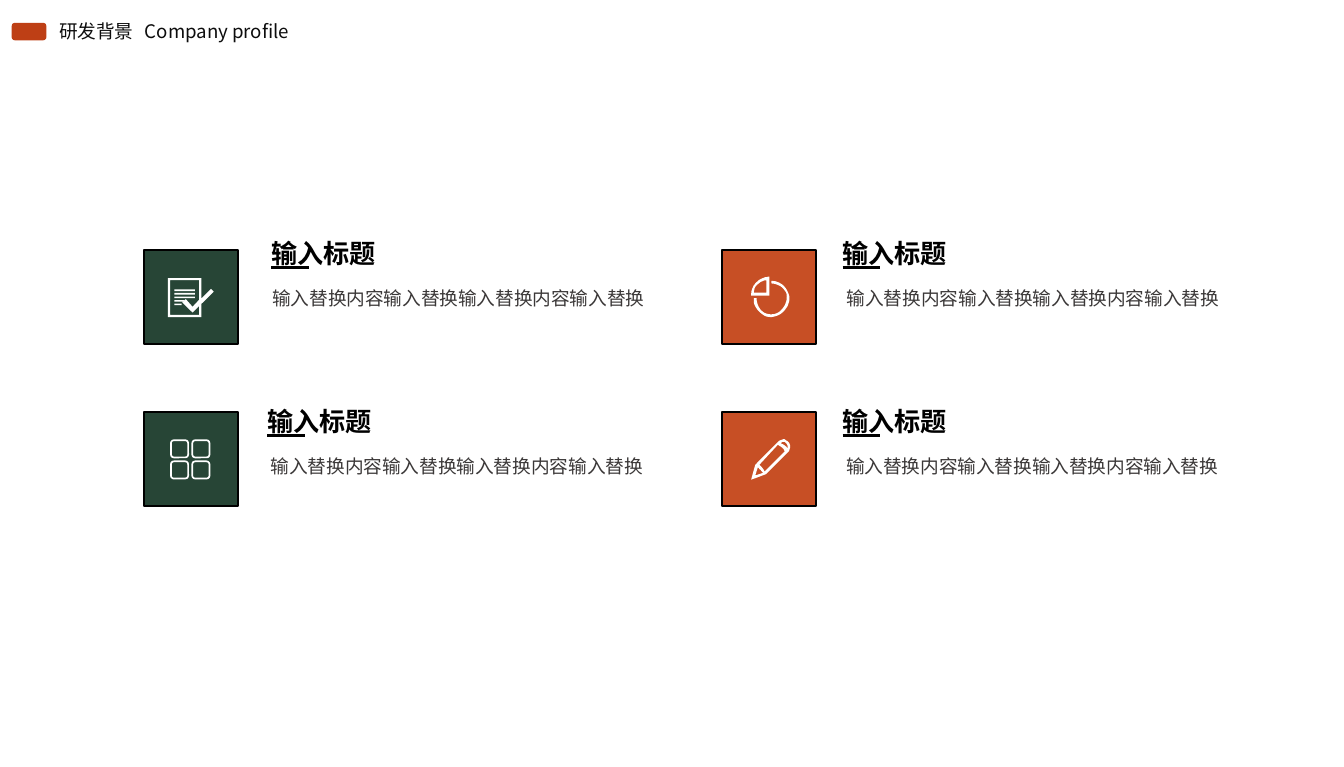
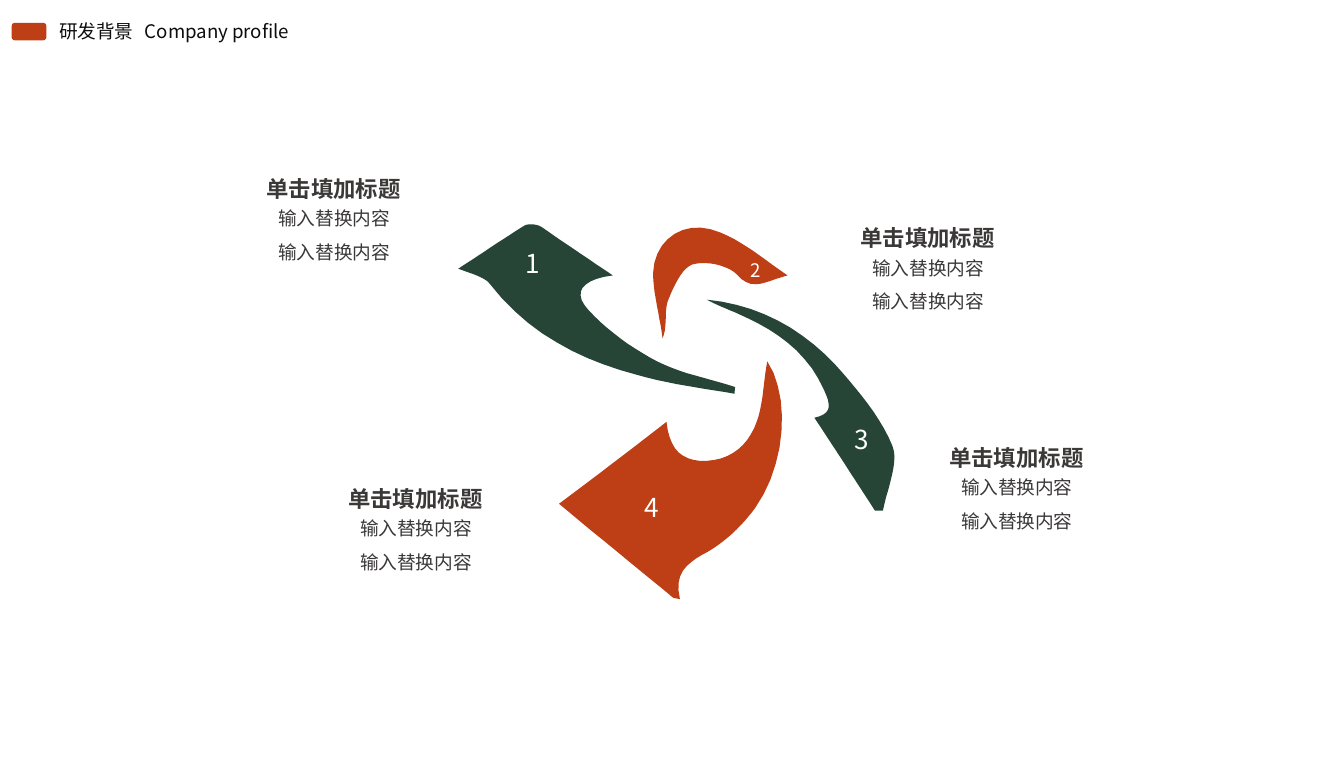
from lxml.etree import SubElement
from pptx import Presentation
from pptx.dml.color import RGBColor
from pptx.enum.shapes import MSO_CONNECTOR, MSO_SHAPE
from pptx.enum.text import MSO_ANCHOR, MSO_AUTO_SIZE, PP_ALIGN
from pptx.oxml.ns import qn
from pptx.util import Pt

GREEN, RUST, ORANGE = "274536", "BE3F15", "C74F25"
BLACK, WHITE, INK, GREY = "000000", "FFFFFF", "0D0D0D", "3B3838"
SANS, LATIN = "Noto Sans CJK SC", "Calibri"
TILE = 50.4

PIE_ICON = """
M 256 144 L 256 245 158 245 C 158 216 166 194 187 173 201 158 230 144 256 144
M 240 163 C 223 164 209 170 194 184 180 194 173 209 173 230 L 240 230
M 266 166 C 302 166 338 187 353 223 374 259 360 302 331 331
302 360 259 367 230 353 194 331 165 295 173 259 L 187 259
C 187 288 202 324 230 338 266 353 302 346 324 317 346 295 353 259 346 230
331 202 302 180 266 180
"""
PENCIL_ICON = """
M 331 144 C 338 144 338 144 346 151 353 151 367 166 367 180 367 187 367 194 360 209
L 238 331 180 353 158 360 166 331 180 281 302 158 310 151 C 317 151 324 144 331 144
M 194 295 L 180 338 223 324 216 317 C 209 310 202 302 194 295
M 302 173 L 202 281 C 216 295 223 302 230 317 L 338 209 C 331 194 324 187 310 180
M 331 158 C 324 158 324 158 317 166 331 173 346 180 353 194
353 187 353 187 353 180 353 173 346 166 338 158
"""
CHECKLIST_ICON = """
M 130 151 L 310 151 310 260 361 209 375 224 310 289 310 360 130 360
M 142 162 L 297 162 297 268 262 305 226 264 207 282 262 336 297 302 297 349 142 349
"""
CHECKLIST_ICON += " ".join(
    f"M 165 {top} L {right} {top} {right} {top + 9} 165 {top + 9}"
    for top, right in zip(range(212, 300, 19), (274, 274, 274, 217, 203)))

BLADES = [
    (GREEN, """
M 3283 1476 C 3110 1498 3067 1570 3154 1663 3254 1771 3384 1865 3521 1937
3650 2002 3802 2030 3938 2074 L 3935 2110
C 3766 2081 3586 2059 3413 2009 3110 1930 2830 1786 2628 1526
2599 1483 2527 1469 2455 1440 2578 1361 2693 1282 2808 1210
2830 1195 2880 1202 2902 1217 3017 1296 3132 1375 3283 1476
"""),
    (RUST, """
M 4219 1476 C 4104 1505 4032 1570 3946 1469 3895 1418 3773 1397 3708 1418
3650 1440 3607 1541 3578 1613 3557 1670 3578 1742 3550 1814
3535 1692 3499 1577 3499 1462 3506 1274 3679 1166 3859 1246
3982 1296 4082 1382 4219 1476
"""),
    (GREEN, """
M 4687 2736 C 4579 2570 4478 2412 4363 2239 4471 2218 4442 2153 4414 2088
4320 1879 4147 1764 3946 1678 3895 1656 3838 1634 3787 1606
4061 1634 4291 1757 4478 1958 4594 2088 4716 2232 4781 2390
4817 2477 4752 2621 4730 2736
"""),
    (RUST, """
M 3607 3204 C 3406 3038 3211 2880 2995 2700 3197 2549 3377 2412 3571 2261
3586 2412 3658 2477 3787 2470 3924 2462 4010 2383 4054 2261
4090 2160 4090 2045 4111 1937 4234 2124 4212 2491 4046 2722
3989 2801 3910 2880 3823 2938 3722 3002 3600 3038 3643 3211
"""),
]


def color(value):
    return RGBColor.from_string(value)


def cubic(start, first, second, end, steps=10):
    points = []
    for step in range(1, steps + 1):
        t = step / steps
        weights = ((1 - t) ** 3, 3 * t * (1 - t) ** 2, 3 * t * t * (1 - t), t ** 3)
        corners = (start, first, second, end)
        points.append(tuple(sum(w * c[axis] for w, c in zip(weights, corners))
                            for axis in (0, 1)))
    return points


def contours(outline):
    for contour in outline.split("M")[1:]:
        points = []
        for piece in contour.replace("L", "|L").replace("C", "|C").split("|"):
            numbers = [int(word) for word in piece.strip("LC \n").split()]
            pairs = list(zip(numbers[::2], numbers[1::2]))
            if piece.startswith("C"):
                for index in range(0, len(pairs), 3):
                    points += cubic(points[-1], *pairs[index:index + 3])
            else:
                points += pairs
        yield points


class Painter:
    """Draws styled elements on the current slide, with lengths in points."""

    def __init__(self):
        self.deck = Presentation()
        self.deck.slide_width, self.deck.slide_height = Pt(720), Pt(411)
        self.page = None

    def new_page(self, title, subtitle):
        self.page = self.deck.slides.add_slide(self.deck.slide_layouts[5])
        heading = self.page.shapes.title
        heading.left, heading.top, heading.width, heading.height = (
            Pt(24.5), Pt(7.2), Pt(54.7), Pt(19.4))
        self.set_text(heading, [title], ink=INK, wrap=False)
        self.text(70.6, 7.2, 131.8, 19.4, [subtitle], ink=INK)
        self.shape(MSO_SHAPE.ROUNDED_RECTANGLE, 6.3, 12.3, 18.5, 9.3, RUST)

    def set_text(self, box, lines, size=10, ink=GREY, font=SANS, bold=False,
                 align=PP_ALIGN.LEFT, spacing=1.0, gap=0, wrap=True, inset=True,
                 grow=True, anchor=MSO_ANCHOR.TOP):
        frame = box.text_frame
        frame.text = "\n".join(lines)
        frame.word_wrap = wrap
        frame.vertical_anchor = anchor
        frame.auto_size = MSO_AUTO_SIZE.SHAPE_TO_FIT_TEXT if grow else MSO_AUTO_SIZE.NONE
        frame.margin_left = frame.margin_right = Pt(7.2 if inset else 0)
        frame.margin_top = frame.margin_bottom = Pt(3.6 if inset else 0)
        for index, para in enumerate(frame.paragraphs):
            para.alignment = align
            para.line_spacing = spacing
            para.space_before = Pt(gap if index else 0)
            for span in para.runs:
                span.font.size, span.font.bold, span.font.name = Pt(size), bold, font
                span.font.color.rgb = color(ink)
                east_asian = SubElement(span.font._element, qn("a:ea"))
                east_asian.set("typeface", SANS)

    def text(self, left, top, width, height, lines, **style):
        box = self.page.shapes.add_textbox(Pt(left), Pt(top), Pt(width), Pt(height))
        self.set_text(box, lines, **style)

    def shape(self, kind, left, top, width, height, fill=None, line=None, weight=1):
        shape = self.page.shapes.add_shape(kind, Pt(left), Pt(top), Pt(width), Pt(height))
        self.paint(shape, fill, line, weight)

    def paint(self, shape, fill, line=None, weight=1):
        shape.shadow.inherit = False
        if fill:
            shape.fill.solid()
            shape.fill.fore_color.rgb = color(fill)
        else:
            shape.fill.background()
        if line:
            shape.line.color.rgb = color(line)
            shape.line.width = Pt(weight)
        else:
            shape.line.fill.background()

    def freeform(self, outline, fill, left=0, top=0):
        builder = None
        for start, *rest in contours(outline):
            if builder is None:
                builder = self.page.shapes.build_freeform(*start, scale=Pt(0.1))
            else:
                builder.move_to(*start)
            builder.add_line_segments(rest, close=True)
        self.paint(builder.convert_to_shape(Pt(left), Pt(top)), fill)

    def rule(self, left, top, length):
        line = self.page.shapes.add_connector(
            MSO_CONNECTOR.STRAIGHT, Pt(left), Pt(top), Pt(left + length), Pt(top))
        line.line.color.rgb = color(BLACK)
        line.line.width = Pt(1.5)
        SubElement(line._element.spPr, qn("a:effectLst"))

    def window_icon(self, left, top):
        for row in range(2):
            for column in range(2):
                self.shape(MSO_SHAPE.ROUNDED_RECTANGLE, left + 14.6 + 11.4 * column,
                           top + 14.9 + 11.3 * row, 9.2, 9.2, line=WHITE, weight=0.9)

    def card(self, column, row, heading_left, detail_left, icon):
        left, top = 77 + 309.6 * column, 133.9 + 87.1 * row
        self.shape(MSO_SHAPE.RECTANGLE, left, top, TILE, TILE,
                   ORANGE if column else GREEN, BLACK)
        if icon:
            self.freeform(icon, WHITE, left, top)
        else:
            self.window_icon(left, top)
        heading_top = 123.8 + 90 * row
        self.text(heading_left, heading_top, 74.2, 24.5, ["输入标题"],
                  size=14, ink=BLACK, font=LATIN, bold=True, wrap=False)
        self.rule(heading_left + 7.2, heading_top + 19.5, 20)
        self.text(detail_left, 144 + 90.4 * row, 213.8, 43.9,
                  ["输入替换内容输入替换输入替换内容输入替换"], spacing=1.5)

    def label(self, left, top):
        self.text(left, top, 154.8, 37.4, ["输入替换内容"] * 2,
                  align=PP_ALIGN.CENTER, gap=6)
        self.text(left + 27.9, top - 16.4, 98.6, 16.6, ["单击填加标题"], size=12,
                  bold=True, align=PP_ALIGN.CENTER, spacing=1.2, inset=False)

    def digit(self, number, center_x, center_y, size):
        self.text(center_x - 10, center_y - 10, 20, 20, [str(number)], size=size,
                  ink=WHITE, align=PP_ALIGN.CENTER, inset=False, grow=False,
                  anchor=MSO_ANCHOR.MIDDLE)


def main():
    painter = Painter()
    header = ("研发背景", "Company profile")

    painter.new_page(*header)
    painter.card(0, 0, 138.2, 138.8, CHECKLIST_ICON)
    painter.card(0, 1, 136.1, 138, None)
    painter.card(1, 0, 444.2, 446.6, PIE_ICON)
    painter.card(1, 1, 444.2, 446.2, PENCIL_ICON)

    painter.new_page(*header)
    for fill, outline in BLADES:
        painter.freeform(outline, fill)
    digits = [(285.5, 141.1, 14), (405, 144.7, 10), (461.9, 235.4, 14), (349.2, 271.8, 14)]
    for number, place in enumerate(digits, 1):
        painter.digit(number, *place)
    for left, top in [(101.5, 107.3), (419.8, 133.9), (467.3, 251.5), (145.4, 273.6)]:
        painter.label(left, top)

    painter.deck.save("out.pptx")


if __name__ == "__main__":
    main()
